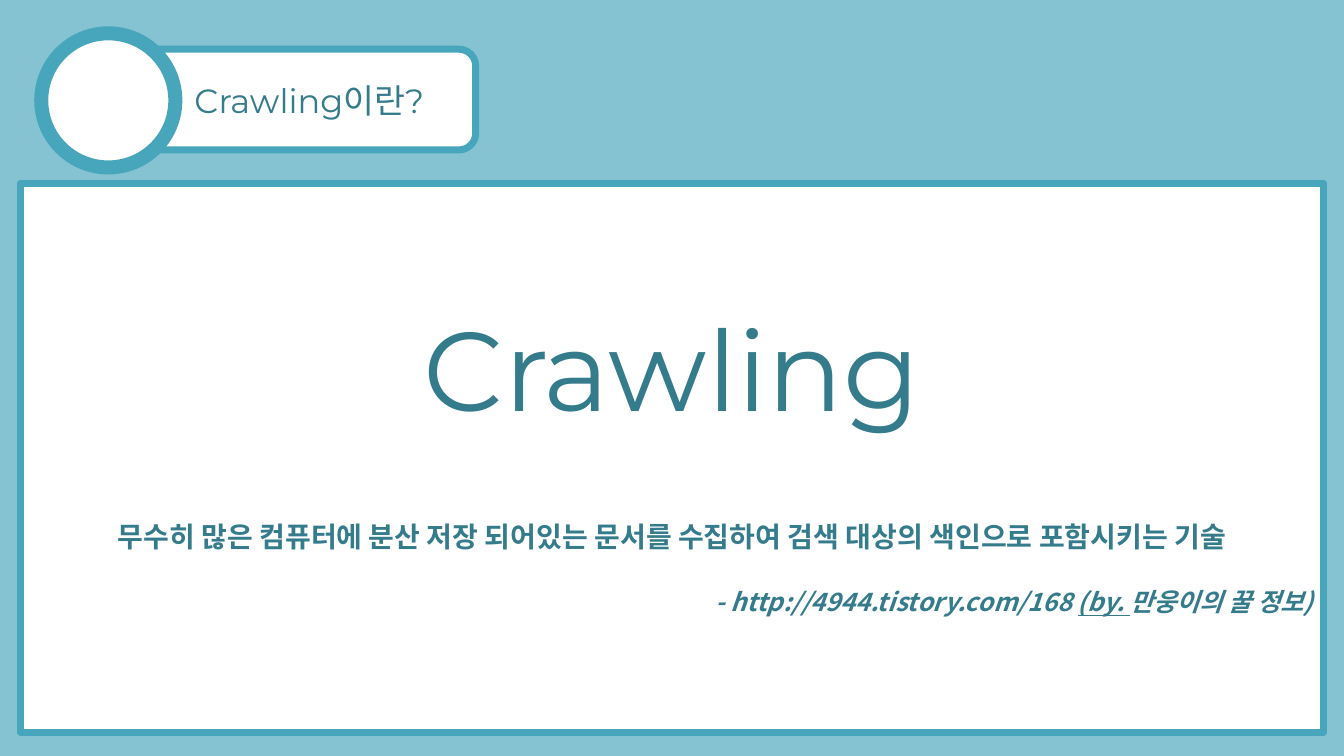
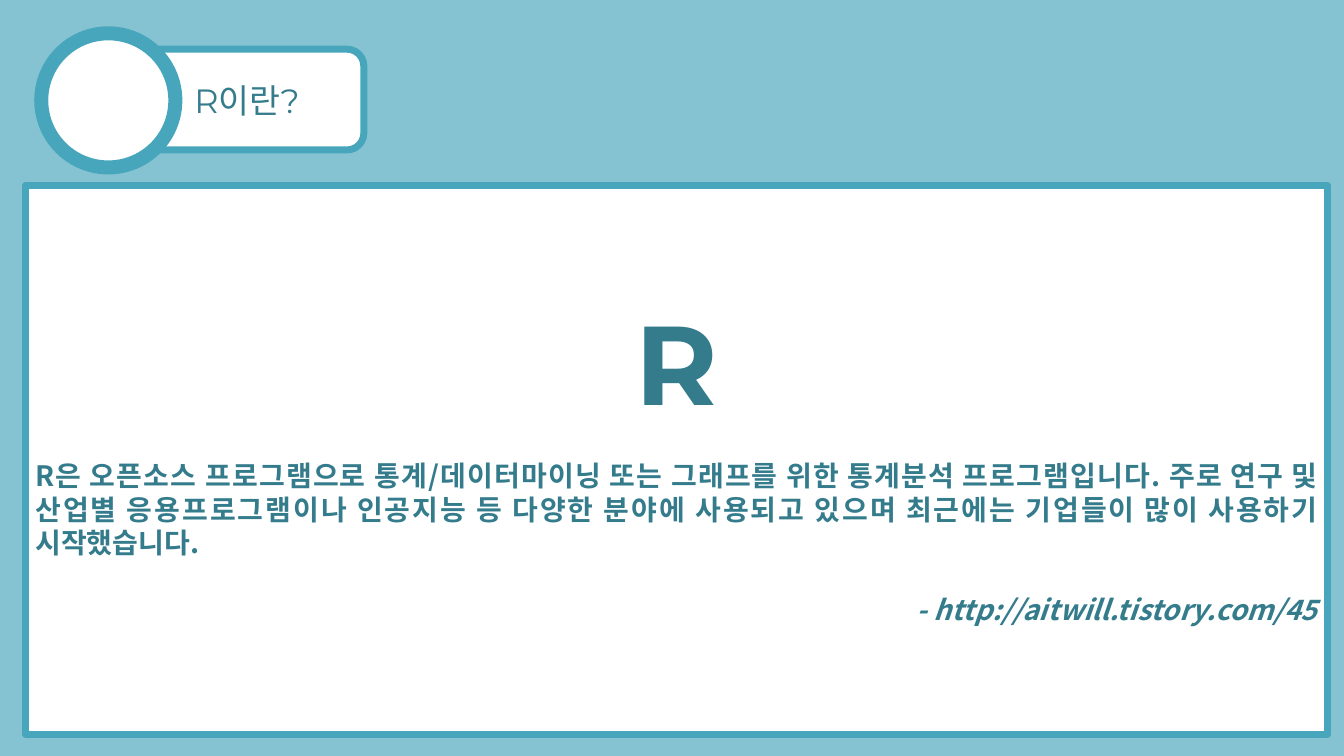
import dataclasses
import typing

import pptx
import pptx.dml.color
import pptx.enum.shapes
import pptx.enum.text
import pptx.oxml.ns
import pptx.slide
import pptx.text.text
import pptx.util

Cm, Pt = pptx.util.Cm, pptx.util.Pt
SHAPE = pptx.enum.shapes.MSO_SHAPE
ALIGN = pptx.enum.text.PP_ALIGN
MIDDLE = pptx.enum.text.MSO_ANCHOR.MIDDLE

COLORS = {"backdrop": "85C3D2", "frame": "48A6BC", "paper": "FFFFFF", "ink": "347B8C"}
LATIN, KOREAN = "Montserrat", "Noto Sans CJK KR"

HEADING = {"size": Pt(24), "bold": False, "name": LATIN}
TERM = {"size": Pt(80), "bold": False, "name": LATIN}
BOLD_TERM = TERM | {"bold": True}
DEFINITION = {"size": Pt(20), "bold": True, "name": KOREAN}
SOURCE = DEFINITION | {"italic": True}
SMALL_SOURCE = SOURCE | {"size": Pt(18)}


@dataclasses.dataclass(frozen=True)
class Span:
    text: str
    style: dict[str, typing.Any]


@dataclasses.dataclass(frozen=True)
class Line:
    spans: tuple[Span, ...]
    align: ALIGN
    gap: float = 0


@dataclasses.dataclass(frozen=True)
class Topic:
    heading: str
    label_width: float
    panel_left: float
    panel_top: float
    lines: tuple[Line, ...]


TOPICS = (
    Topic("Crawling이란?", 9.5, 0.53, 4.62, (
        Line((Span("Crawling", TERM),), ALIGN.CENTER),
        Line((Span("무수히 많은 컴퓨터에 분산 저장 되어있는 문서를 수집하여 "
                   "검색 대상의 색인으로 포함시키는 기술", DEFINITION),), ALIGN.CENTER, 61),
        Line((Span("- http://4944.tistory.com/168 ", SMALL_SOURCE),
              Span("(by. ", SMALL_SOURCE | {"underline": True}),
              Span("만웅이의 꿀 정보)", SMALL_SOURCE)), ALIGN.RIGHT, 24),
    )),
    Topic("R이란?", 6.68, 0.64, 4.67, (
        Line((Span("R", BOLD_TERM),), ALIGN.CENTER),
        Line((Span("R은 오픈소스 프로그램으로 통계/데이터마이닝 또는 그래프를 위한 통계분석 "
                   "프로그램입니다. 주로 연구 및 산업별 응용프로그램이나 인공지능 등 다양한 "
                   "분야에 사용되고 있으며 최근에는 기업들이 많이 사용하기 시작했습니다.",
                   DEFINITION),), ALIGN.JUSTIFY, 22),
        Line((Span("- http://aitwill.tistory.com/45", SOURCE),), ALIGN.RIGHT, 24),
    )),
)


def rgb(role: str) -> pptx.dml.color.RGBColor:
    return pptx.dml.color.RGBColor.from_string(COLORS[role])


def add_span(paragraph: pptx.text.text._Paragraph, span: Span) -> None:
    run = paragraph.add_run()
    run.text = span.text
    run.font.color.rgb = rgb("ink")
    for attribute, value in span.style.items():
        setattr(run.font, attribute, value)
    # Hangul takes its typeface from the East Asian font slot.
    latin = run.font._element.find(pptx.oxml.ns.qn("a:latin"))
    east_asian = latin.makeelement(pptx.oxml.ns.qn("a:ea"), {"typeface": KOREAN})
    latin.addnext(east_asian)


def add_framed(shapes: typing.Any, kind: SHAPE, left: float, top: float,
               width: float, height: float, border: float) -> typing.Any:
    """Add a white shape with a teal border, measured in cm."""
    framed = shapes.add_shape(kind, Cm(left), Cm(top), Cm(width), Cm(height))
    framed.shadow.inherit = False
    framed.fill.solid()
    framed.fill.fore_color.rgb = rgb("paper")
    framed.line.color.rgb = rgb("frame")
    framed.line.width = Pt(border)
    return framed


def add_heading(slide: pptx.slide.Slide, topic: Topic) -> None:
    label_left, heading_left = 2.49, 4.42
    badge = slide.shapes.add_group_shape()
    add_framed(badge.shapes, SHAPE.FLOWCHART_ALTERNATE_PROCESS,
               label_left, 1.24, topic.label_width, 2.54, 5)
    add_framed(badge.shapes, SHAPE.OVAL, 1.04, 0.84, 3.38, 3.38, 10)

    heading = slide.shapes.title
    heading.left, heading.top = Cm(heading_left), Cm(1.88)
    heading.width = Cm(label_left + topic.label_width - heading_left)
    heading.height = Cm(1.27)
    frame = heading.text_frame
    frame.auto_size = pptx.enum.text.MSO_AUTO_SIZE.NONE
    frame.word_wrap = False
    frame.vertical_anchor = MIDDLE
    frame.margin_left = Cm(0.48)
    frame.paragraphs[0].alignment = ALIGN.LEFT
    add_span(frame.paragraphs[0], Span(topic.heading, HEADING))
    slide.shapes._spTree.append(heading._element)  # in front of its label


def add_panel(slide: pptx.slide.Slide, topic: Topic) -> None:
    panel = add_framed(slide.shapes, SHAPE.RECTANGLE,
                       topic.panel_left, topic.panel_top, 32.82, 13.84, 5)
    frame = panel.text_frame
    frame.word_wrap = True
    frame.vertical_anchor = MIDDLE
    for number, line in enumerate(topic.lines):
        paragraph = frame.add_paragraph() if number else frame.paragraphs[0]
        paragraph.alignment = line.align
        if line.gap:
            paragraph.space_before = Pt(line.gap)
        for span in line.spans:
            add_span(paragraph, span)


def main() -> None:
    deck = pptx.Presentation()
    deck.slide_width, deck.slide_height = Cm(33.87), Cm(19.05)
    backdrop = deck.slide_master.background.fill
    backdrop.solid()
    backdrop.fore_color.rgb = rgb("backdrop")
    title_only = deck.slide_layouts[5]
    for topic in TOPICS:
        slide = deck.slides.add_slide(title_only)
        add_panel(slide, topic)
        add_heading(slide, topic)
    deck.save("out.pptx")


if __name__ == "__main__":
    main()
